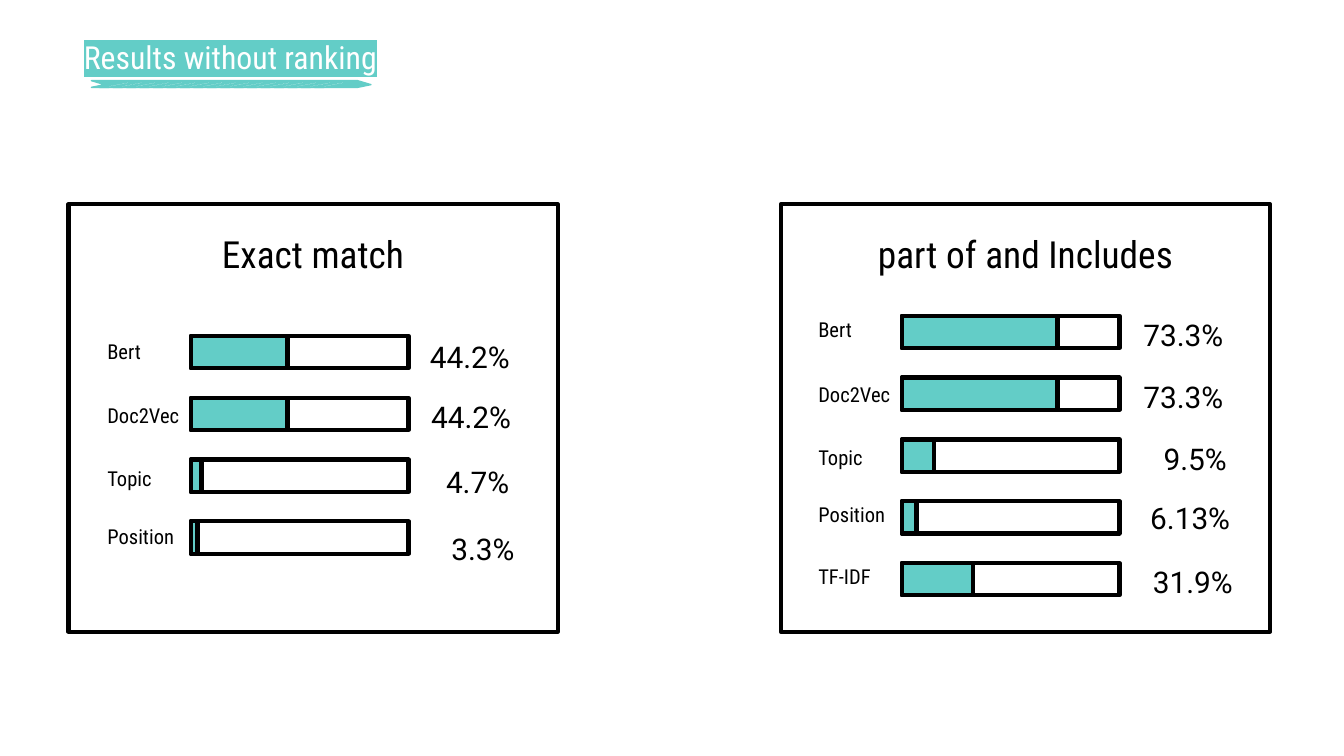
import dataclasses

import pptx
import pptx.dml.color
import pptx.enum.shapes
import pptx.enum.text
import pptx.oxml
import pptx.oxml.ns
import pptx.util

PX = 9144
ALIGN = pptx.enum.text.PP_ALIGN


@dataclasses.dataclass(frozen=True)
class Theme:
    """Colours and type styles of the slide."""
    ink: str = "000000"
    paper: str = "FFFFFF"
    accent: str = "63CDC7"
    border: float = 2.25
    hairline: float = 0.75
    header = {"name": "Roboto Condensed", "size": 17, "color": "FFFFFF"}
    heading = {"name": "Roboto Condensed", "size": 20, "color": "000000"}
    label = {"name": "Roboto Condensed", "size": 11, "color": "000000"}
    value = {"name": "Roboto", "size": 16, "color": "000000"}


THEME = Theme()
PITCH, TRACK_W, TRACK_H = 46, 162, 24
LABEL_STEPS = (0, 48, 95, 138, 184)
LABEL_WIDTHS = {"Bert": 72, "Doc2Vec": 90, "Topic": 64, "Position": 72, "TF-IDF": 90}

PANELS = (
    {"left": 51, "heading": ("Exact match", 116, 234), "bars": (142, 250), "labels": (70, 245),
     "rows": (("Bert", 72, "44.2%", 310, 241, 99),
              ("Doc2Vec", 72, "44.2%", 311, 286, 97),
              ("Topic", 8, "4.7%", 322, 334, 98),
              ("Position", 5, "3.3%", 326, 384, 100))},
    {"left": 581, "heading": ("part of and Includes", 637, 252), "bars": (671, 235), "labels": (599, 229),
     "rows": (("Bert", 116, "73.3%", 841, 225, 96),
              ("Doc2Vec", 116, "73.3%", 841, 271, 96),
              ("Topic", 24, "9.5%", 856, 317, 96),
              ("Position", 11, "6.13%", 846, 361, 118),
              ("TF-IDF", 53, "31.9%", 848, 409, 96))},
)


def px(*lengths):
    """Turn whole px into EMU."""
    return [pptx.util.Emu(n * PX) for n in lengths]


def rgb(code):
    """Return a colour from its hex code."""
    return pptx.dml.color.RGBColor.from_string(code)


def paint(s, fill, line, width):
    """Set fill and outline, without a shadow."""
    s.shadow.inherit = False
    if fill:
        s.fill.solid()
        s.fill.fore_color.rgb = rgb(fill)
    else:
        s.fill.background()
    s.line.color.rgb = rgb(line)
    s.line.width = pptx.util.Pt(width)


def add_box(slide, left, top, width, height, fill=None):
    """Add a rectangle with a heavy border."""
    s = slide.shapes.add_shape(pptx.enum.shapes.MSO_SHAPE.RECTANGLE, *px(left, top, width, height))
    paint(s, fill, THEME.ink, THEME.border)


def add_text(slide, text, box, style, align=ALIGN.LEFT, spacing=1.0):
    """Add a one-line text box and return its run."""
    tf = slide.shapes.add_textbox(*px(*box)).text_frame
    inset, = px(10)
    frame = {"word_wrap": True, "vertical_anchor": pptx.enum.text.MSO_ANCHOR.MIDDLE,
             "margin_left": inset, "margin_right": inset, "margin_top": inset, "margin_bottom": inset}
    for name, setting in frame.items():
        setattr(tf, name, setting)
    p = tf.paragraphs[0]
    p.alignment, p.line_spacing = align, spacing
    r = p.add_run()
    r.text = text
    for name, setting in {"name": style["name"], "size": pptx.util.Pt(style["size"])}.items():
        setattr(r.font, name, setting)
    r.font.color.rgb = rgb(style["color"])
    return r


def highlight(r, color):
    """Put a marker colour behind a run."""
    mark = pptx.oxml.parse_xml(
        f'<a:highlight {pptx.oxml.ns.nsdecls("a")}><a:srgbClr val="{color}"/></a:highlight>')
    r._r.rPr.find(pptx.oxml.ns.qn("a:solidFill")).addnext(mark)


def add_brush_stroke(slide):
    """Add the ribbon under the header, cut by slanted slits."""
    ribbon = [(68, 60), (78, 63), (68, 65), (266, 65), (276, 63), (266, 60)]
    slits = [[(x, 65), (x + 7, 65), (x + 28, 61), (x + 21, 61)] for x in range(74, 240, 10)]
    builder = slide.shapes.build_freeform(*ribbon[0], scale=PX)
    builder.add_line_segments(ribbon[1:], close=True)
    for slit in slits:
        builder.move_to(*slit[0])
        builder.add_line_segments(slit[1:], close=True)
    paint(builder.convert_to_shape(), THEME.accent, THEME.accent, THEME.hairline)


def add_panel(slide, left, heading, bars, labels, rows):
    """Add a framed panel of labelled progress bars."""
    add_box(slide, left, 152, 364, 318)
    text, heading_left, heading_width = heading
    add_text(slide, text, (heading_left, 162, heading_width, 54), THEME.heading, ALIGN.CENTER)
    for i, (label, filled, value, value_left, value_top, value_width) in enumerate(rows):
        top = bars[1] + i * PITCH
        add_box(slide, bars[0], top, TRACK_W, TRACK_H, THEME.paper)
        add_box(slide, bars[0], top, filled, TRACK_H, THEME.accent)
        add_text(slide, label, (labels[0], labels[1] + LABEL_STEPS[i], LABEL_WIDTHS[label], 32), THEME.label)
        add_text(slide, value, (value_left, value_top, value_width, 44), THEME.value, spacing=1.15)


def main():
    """Build the slide and save it."""
    prs = pptx.Presentation()
    prs.slide_width, = px(1000)
    prs.slide_height = prs.slide_width * 9 // 16
    slide = prs.slides.add_slide(prs.slide_layouts[6])
    for panel in PANELS:
        add_panel(slide, **panel)
    r = add_text(slide, "Results without ranking", (52, 24, 239, 36), THEME.header, ALIGN.CENTER)
    highlight(r, THEME.accent)
    add_brush_stroke(slide)
    prs.save("out.pptx")


if __name__ == "__main__":
    main()
